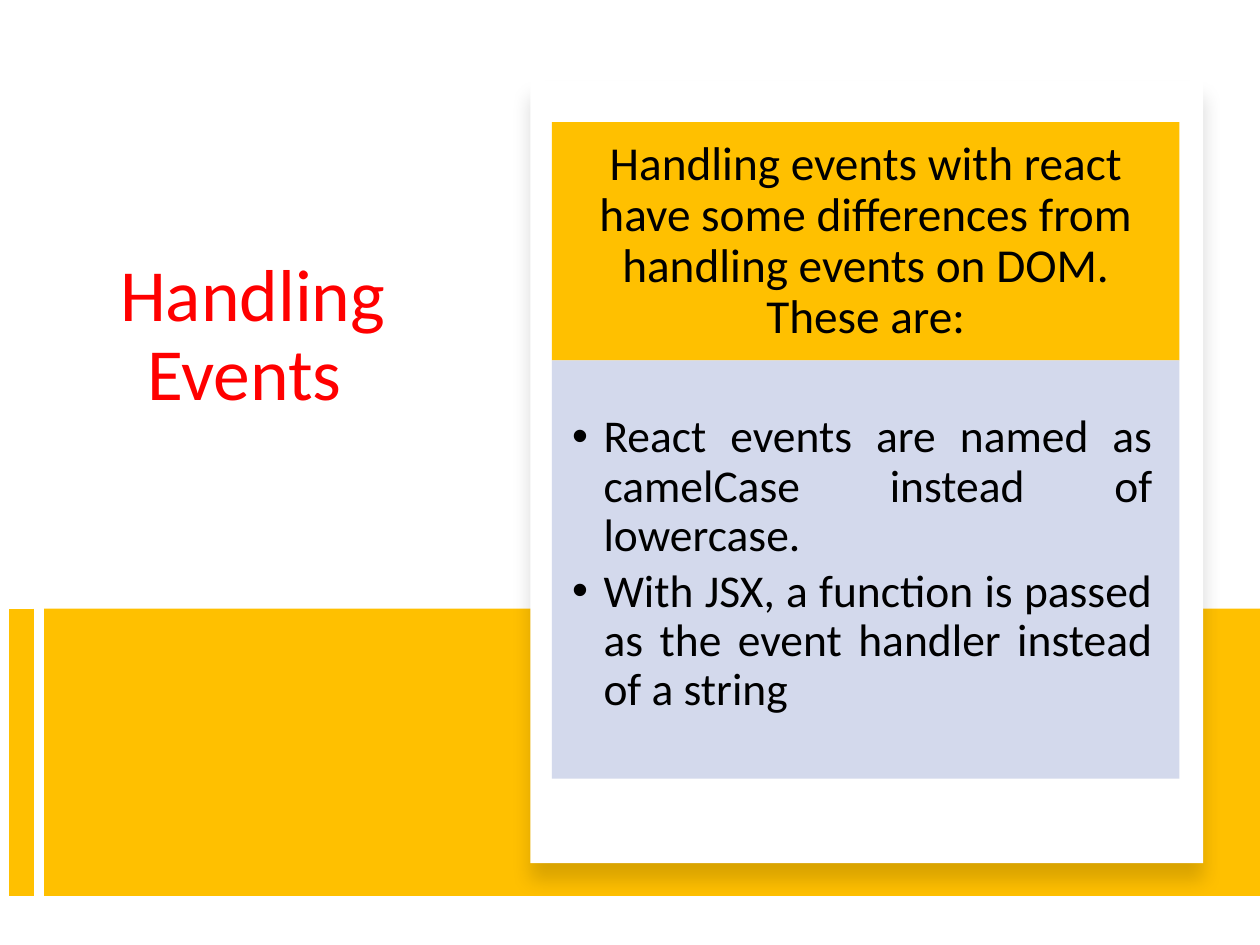
from lxml.etree import SubElement
from pptx import Presentation
from pptx.dml.color import RGBColor
from pptx.enum.shapes import MSO_CONNECTOR, MSO_SHAPE
from pptx.enum.text import MSO_ANCHOR, PP_ALIGN
from pptx.oxml.ns import qn
from pptx.util import Inches, Pt

GOLD = "FFC000"
WHITE = "FFFFFF"
PERIWINKLE = "CFD5EA"
RED = "FF0000"
BLACK = "000000"


def rgb(value):
    return RGBColor.from_string(value)


def add_bullet(paragraph, indent):
    properties = paragraph._p.get_or_add_pPr()
    properties.set("marL", str(Inches(indent)))
    properties.set("indent", str(-Inches(indent)))
    SubElement(properties, qn("a:buFont"), typeface="Arial")
    SubElement(properties, qn("a:buChar"), char="•")


def write_text(frame, lines, *, font, size, color, align, insets,
               gap=0, bullet_indent=None):
    frame.word_wrap = True
    frame.vertical_anchor = MSO_ANCHOR.MIDDLE
    (frame.margin_left, frame.margin_top,
     frame.margin_right, frame.margin_bottom) = map(Inches, insets)
    for index, line in enumerate(lines):
        paragraph = frame.add_paragraph() if index else frame.paragraphs[0]
        paragraph.alignment = align
        paragraph.line_spacing = 0.9
        paragraph.space_before = Pt(0)
        paragraph.space_after = Pt(gap)
        if bullet_indent:
            add_bullet(paragraph, bullet_indent)
        run = paragraph.add_run()
        run.text = line
        run.font.name = font
        run.font.size = Pt(size)
        run.font.color.rgb = rgb(color)


class SlideBuilder:
    def __init__(self, deck, font):
        self.font = font
        self.slide = deck.slides.add_slide(deck.slide_layouts[5])

    def title(self, text, left, top, width, height, **style):
        heading = self.slide.shapes.title
        heading.left, heading.top = Inches(left), Inches(top)
        heading.width, heading.height = Inches(width), Inches(height)
        write_text(heading.text_frame, [text], font=self.font, **style)

    def block(self, left, top, width, height, fill, opacity=100):
        block = self.slide.shapes.add_shape(
            MSO_SHAPE.RECTANGLE, Inches(left), Inches(top),
            Inches(width), Inches(height))
        block.shadow.inherit = False
        block.fill.solid()
        block.fill.fore_color.rgb = rgb(fill)
        block.line.fill.background()
        if opacity < 100:
            tint = block._element.spPr.find(".//" + qn("a:srgbClr"))
            SubElement(tint, qn("a:alpha"), val=str(opacity * 1000))
        return block

    def card(self, left, top, width, height):
        card = self.block(left, top, width, height, WHITE)
        effects = card._element.spPr.find(qn("a:effectLst"))
        shadow = SubElement(effects, qn("a:outerShdw"), blurRad=str(Pt(11)),
                            dist=str(Pt(10)), dir="5400000", rotWithShape="0")
        shade = SubElement(shadow, qn("a:srgbClr"), val=BLACK)
        SubElement(shade, qn("a:alpha"), val="15000")

    def panel(self, lines, left, top, width, height, fill, opacity=100, **style):
        panel = self.block(left, top, width, height, fill, opacity)
        write_text(panel.text_frame, lines, font=self.font, color=BLACK, **style)

    def stripe(self, x, top, bottom, color, weight):
        stripe = self.slide.shapes.add_connector(
            MSO_CONNECTOR.STRAIGHT, Inches(x), Inches(top),
            Inches(x), Inches(bottom))
        stripe.line.color.rgb = rgb(color)
        stripe.line.width = Pt(weight)
        SubElement(stripe._element.spPr, qn("a:effectLst"))


def main():
    deck = Presentation()
    deck.slide_width, deck.slide_height = Inches(10), Inches(7.5)
    events = SlideBuilder(deck, "Calibri")

    events.title("Handling Events ", 0.45, 1.93, 3.11, 1.49, size=42,
                 color=RED, align=PP_ALIGN.CENTER, gap=6,
                 insets=(0.1, 0.05, 0.1, 0.05))

    band_top, band_height = 4.83, 2.28
    events.block(0.35, band_top, 9.65, band_height, GOLD)
    events.stripe(0.17, band_top, band_top + band_height, GOLD, 14)
    events.card(4.21, 0.64, 5.34, 6.21)

    panel_left, panel_width = 4.38, 4.98
    intro_top, intro_height = 0.97, 1.89
    events.panel(
        ["Handling events with react have some differences from "
         "handling events on DOM. These are:"],
        panel_left, intro_top, panel_width, intro_height, GOLD,
        size=27, align=PP_ALIGN.CENTER, insets=(0.21, 0.12, 0.21, 0.12))
    events.panel(
        ["React events are named as camelCase instead of lowercase.",
         "With JSX, a function is passed as the event handler instead of a string"],
        panel_left, intro_top + intro_height, panel_width, 3.32, PERIWINKLE,
        opacity=90, size=26, align=PP_ALIGN.JUSTIFY, gap=4,
        bullet_indent=0.25, insets=(0.16, 0.16, 0.21, 0.24))

    deck.save("out.pptx")


if __name__ == "__main__":
    main()
